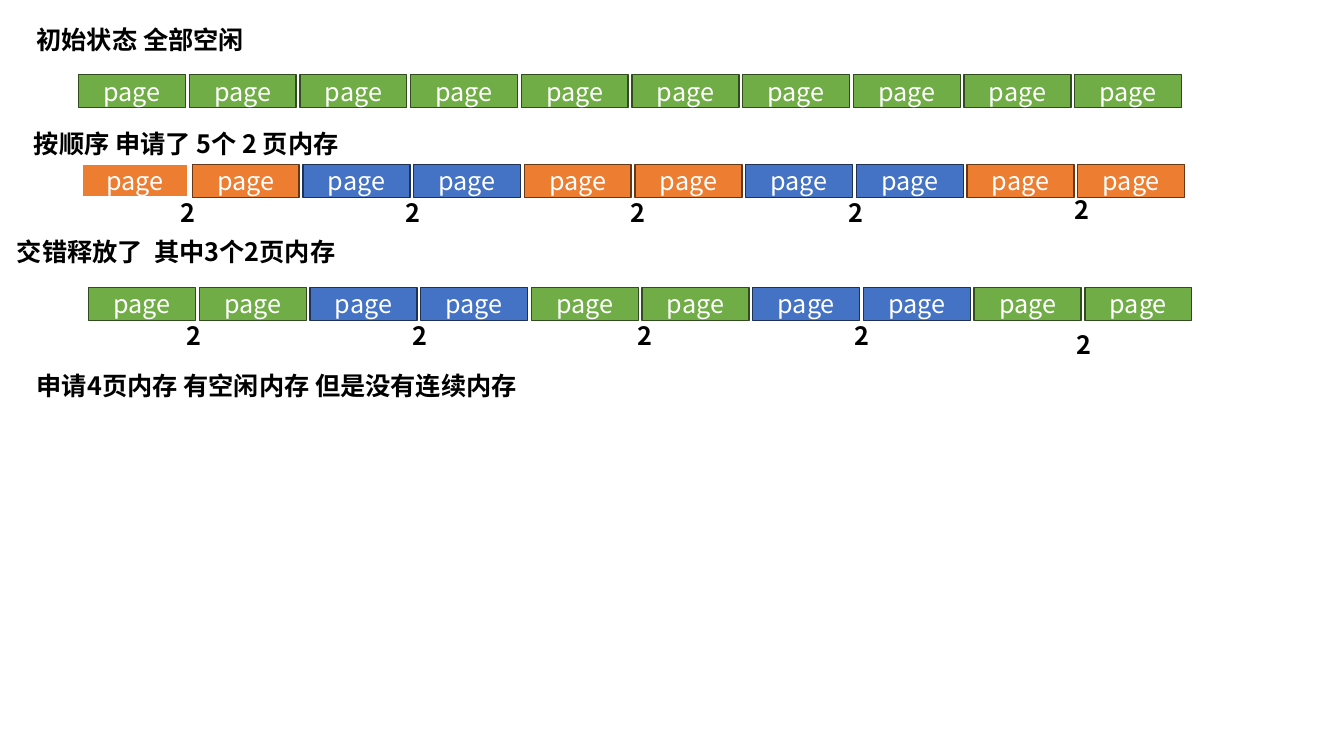
from lxml.etree import SubElement
from pptx import Presentation
from pptx.dml.color import RGBColor
from pptx.enum.shapes import MSO_SHAPE
from pptx.enum.text import MSO_ANCHOR, MSO_AUTO_SIZE, PP_ALIGN
from pptx.oxml.ns import qn
from pptx.util import Inches, Pt

FONT = "Noto Sans CJK SC"
WHITE = RGBColor(0xFF, 0xFF, 0xFF)
BLACK = RGBColor(0x00, 0x00, 0x00)
GREEN = RGBColor(0x70, 0xAD, 0x47)
DARK_GREEN = RGBColor(0x31, 0x4C, 0x1F)
ORANGE = RGBColor(0xED, 0x7D, 0x31)
DARK_ORANGE = RGBColor(0x68, 0x37, 0x15)
BLUE = RGBColor(0x44, 0x72, 0xC4)
DARK_BLUE = RGBColor(0x1E, 0x32, 0x56)

OUTLINES = {GREEN: DARK_GREEN, ORANGE: DARK_ORANGE, BLUE: DARK_BLUE}
PAGE_WIDTH, PAGE_HEIGHT = 1.06, 0.33
PAGE_PITCH = 9.88 / 9
PAGES_PER_BLOCK = 2
LABEL_HEIGHT = 0.4
COUNT_WIDTH = 1.25

CAPTIONS = [
    ("初始状态 全部空闲", -0.05, 0.19, 2.88),
    ("按顺序 申请了 5个 2 页内存 ", -0.1, 1.22, 3.95),
    ("交错释放了  其中3个2页内存 ", -0.2, 2.3, 3.95),
    ("申请4页内存 有空闲内存 但是没有连续内存", -0.21, 3.62, 5.91),
]
ALLOCATED_COUNTS = [(1.24, 1.91), (3.47, 1.91), (5.7, 1.91), (7.86, 1.91), (10.11, 1.88)]
RELEASED_COUNTS = [(1.3, 3.13), (3.54, 3.13), (5.77, 3.13), (7.92, 3.13), (10.13, 3.22)]


def write_centred(frame, text, color, bold=False):
    frame.word_wrap = True
    paragraph = frame.paragraphs[0]
    paragraph.text = text
    paragraph.alignment = PP_ALIGN.CENTER
    font = paragraph.font
    font.size = Pt(18)
    font.bold = bold
    font.color.rgb = color
    font.name = FONT
    latin = next(paragraph._p.iter(qn("a:latin")))
    SubElement(latin.getparent(), qn("a:ea")).set("typeface", FONT)


def add_label(slide, text, left, top, width):
    label = slide.shapes.add_textbox(
        Inches(left), Inches(top), Inches(width), Inches(LABEL_HEIGHT))
    write_centred(label.text_frame, text, BLACK, bold=True)
    label.text_frame.auto_size = MSO_AUTO_SIZE.SHAPE_TO_FIT_TEXT


def add_page(slide, left, top, color):
    page = slide.shapes.add_shape(
        MSO_SHAPE.RECTANGLE, Inches(left), Inches(top),
        Inches(PAGE_WIDTH), Inches(PAGE_HEIGHT))
    page.shadow.inherit = False
    page.fill.solid()
    page.fill.fore_color.rgb = color
    page.line.color.rgb = OUTLINES[color]
    page.line.width = Pt(1)
    page.text_frame.vertical_anchor = MSO_ANCHOR.MIDDLE
    write_centred(page.text_frame, "page", WHITE)
    return page


def add_page_row(slide, left, top, block_colors):
    colors = [color for color in block_colors for _ in range(PAGES_PER_BLOCK)]
    return [add_page(slide, left + index * PAGE_PITCH, top, color)
            for index, color in enumerate(colors)]


def main():
    presentation = Presentation()
    presentation.slide_width = Inches(13.33)
    presentation.slide_height = Inches(7.5)
    slide = presentation.slides.add_slide(presentation.slide_layouts[6])

    add_page_row(slide, 0.78, 0.74, [GREEN] * 5)
    allocated = add_page_row(slide, 0.81, 1.63, [ORANGE, BLUE, ORANGE, BLUE, ORANGE])
    allocated[0].line.color.rgb = WHITE
    allocated[0].line.width = Pt(1.5)
    add_page_row(slide, 0.88, 2.85, [GREEN, BLUE, GREEN, BLUE, GREEN])

    for text, left, top, width in CAPTIONS:
        add_label(slide, text, left, top, width)
    for left, top in ALLOCATED_COUNTS + RELEASED_COUNTS:
        add_label(slide, str(PAGES_PER_BLOCK), left, top, COUNT_WIDTH)

    presentation.save("out.pptx")


if __name__ == "__main__":
    main()
